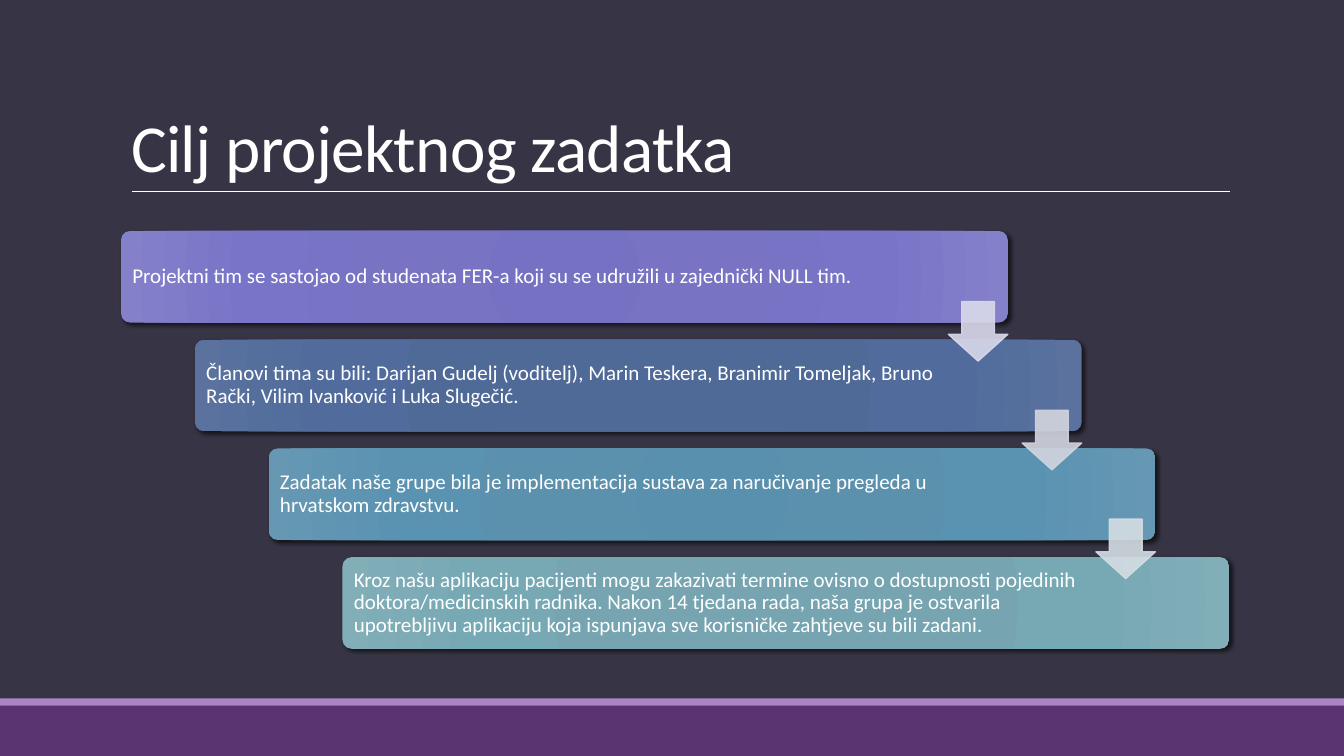
from pptx import Presentation
from pptx.dml.color import RGBColor
from pptx.enum.shapes import MSO_CONNECTOR, MSO_SHAPE
from pptx.enum.text import MSO_ANCHOR, MSO_AUTO_SIZE, PP_ALIGN
from pptx.oxml import parse_xml
from pptx.oxml.ns import nsdecls, qn
from pptx.oxml.xmlchemy import OxmlElement
from pptx.util import Cm, Pt

COLOURS = {
    "background": "373545",
    "band": "5A3471",
    "band edge": "AD84C6",
    "text": "FFFFFF",
    "shadow": "000000",
}
GRADIENT_STOPS = (0, 34, 70, 100)
STEPS = [
    {
        "text": "Projektni tim se sastojao od studenata FER-a koji su se udružili "
                "u zajednički NULL tim.",
        "gradient": ("7572C3", "7874C3", "7874C8", "8481CA"),
        "arrow": "D9D9EB",
    },
    {
        "text": "Članovi tima su bili: Darijan Gudelj (voditelj), Marin Teskera, "
                "Branimir Tomeljak, Bruno Rački, Vilim Ivanković i Luka Slugečić.",
        "gradient": ("4E6998", "506A98", "506B9C", "5A729D"),
        "arrow": "D2D5DE",
    },
    {
        "text": "Zadatak naše grupe bila je implementacija sustava za naručivanje "
                "pregleda u hrvatskom zdravstvu.",
        "gradient": ("5890AD", "5B91AD", "5A93B1", "6698B3"),
        "arrow": "D4DDE3",
    },
    {
        "text": "Kroz našu aplikaciju pacijenti mogu zakazivati termine ovisno o "
                "dostupnosti pojedinih doktora/medicinskih radnika. Nakon 14 tjedana "
                "rada, naša grupa je ostvarila upotrebljivu aplikaciju koja ispunjava "
                "sve korisničke zahtjeve su bili zadani.",
        "gradient": ("74A4B1", "76A5B1", "77A9B5", "82AEB8"),
        "arrow": None,
    },
]
CARD_LEFT, CARD_TOP = 3.05, 5.82
CARD_WIDTH, CARD_HEIGHT = 22.35, 2.31
STEP_RIGHT, STEP_DOWN = 1.86, 2.74
ARROW_SIZE, ARROW_DROP = 1.5, 1.78


def write(shape, text, size, anchor, line_spacing):
    """Fill a shape with one left-aligned paragraph and return its run."""
    frame = shape.text_frame
    frame.word_wrap = True
    frame.auto_size = MSO_AUTO_SIZE.NONE
    frame.vertical_anchor = anchor
    para = frame.paragraphs[0]
    para.alignment = PP_ALIGN.LEFT
    para.line_spacing = line_spacing
    span = para.add_run()
    span.text = text
    span.font.name = "Calibri"
    span.font.size = Pt(size)
    span.font.color.rgb = RGBColor.from_string(COLOURS["text"])
    return span


def add_filled(kind, left, top, width, height, colour):
    """Add a preset shape with a plain fill, no outline and no shadow."""
    shape = page.shapes.add_shape(kind, Cm(left), Cm(top), Cm(width), Cm(height))
    shape.shadow.inherit = False
    shape.fill.solid()
    shape.fill.fore_color.rgb = RGBColor.from_string(colour)
    shape.line.fill.background()
    return shape


deck = Presentation()
deck.slide_width, deck.slide_height = Cm(33.87), Cm(19.05)
page = deck.slides.add_slide(deck.slide_layouts[5])
page.background.fill.solid()
page.background.fill.fore_color.rgb = RGBColor.from_string(COLOURS["background"])

# Footer band and title
add_filled(MSO_SHAPE.RECTANGLE, 0, 17.78, 33.87, 1.27, COLOURS["band"])
add_filled(MSO_SHAPE.RECTANGLE, 0, 17.6, 33.87, 0.18, COLOURS["band edge"])

title = page.shapes.title
title.left, title.top, title.width, title.height = Cm(3.05), Cm(0.79), Cm(27.94), Cm(4.04)
title_span = write(title, "Cilj projektnog zadatka", 48, MSO_ANCHOR.BOTTOM, 0.85)
title_span.font._element.set("spc", "-50")

rule = page.shapes.add_connector(
    MSO_CONNECTOR.STRAIGHT, Cm(3.33), Cm(4.83), Cm(31), Cm(4.83))
rule.line.color.rgb = RGBColor.from_string(COLOURS["text"])
rule.line.width = Pt(0.5)
rule._element.spPr.append(OxmlElement("a:effectLst"))

# Staircase of cards
for index, step in enumerate(STEPS):
    card = add_filled(
        MSO_SHAPE.ROUNDED_RECTANGLE,
        CARD_LEFT + index * STEP_RIGHT, CARD_TOP + index * STEP_DOWN,
        CARD_WIDTH, CARD_HEIGHT, step["gradient"][0])
    card.adjustments[0] = 0.1
    stops = "".join(
        f'<a:gs pos="{position * 1000}"><a:srgbClr val="{colour}"/></a:gs>'
        for position, colour in zip(GRADIENT_STOPS, step["gradient"]))
    gradient = parse_xml(
        f'<a:gradFill {nsdecls("a")} rotWithShape="1"><a:gsLst>{stops}</a:gsLst>'
        '<a:path path="circle"><a:fillToRect l="100000" t="100000" r="100000" b="100000"/>'
        '</a:path></a:gradFill>')
    properties = card._element.spPr
    properties.replace(properties.find(qn("a:solidFill")), gradient)
    properties.find(qn("a:effectLst")).append(parse_xml(
        f'<a:outerShdw {nsdecls("a")} blurRad="{Pt(3)}" dist="{Pt(2)}" dir="2700000" '
        f'rotWithShape="0"><a:srgbClr val="{COLOURS["shadow"]}"><a:alpha val="60000"/>'
        '</a:srgbClr></a:outerShdw>'))

    write(card, step["text"], 15, MSO_ANCHOR.MIDDLE, 0.9)
    card.text_frame.margin_left, card.text_frame.margin_right = Cm(0.22), Cm(3.58)
    card.text_frame.margin_top = card.text_frame.margin_bottom = Cm(0.2)

# Arrows lie over the cards they join
for index, step in enumerate(STEPS[:-1]):
    arrow = add_filled(
        MSO_SHAPE.DOWN_ARROW,
        CARD_LEFT + CARD_WIDTH - ARROW_SIZE + index * STEP_RIGHT,
        CARD_TOP + ARROW_DROP + index * STEP_DOWN,
        ARROW_SIZE, ARROW_SIZE, step["arrow"])
    arrow.adjustments[0], arrow.adjustments[1] = 0.55, 0.45
    arrow.line.color.rgb = RGBColor.from_string(step["arrow"])
    arrow.line.width = Pt(1)
    for colour in arrow._element.spPr.iter(qn("a:srgbClr")):
        alpha = OxmlElement("a:alpha")
        alpha.set("val", "90000")
        colour.append(alpha)

deck.save("out.pptx")
